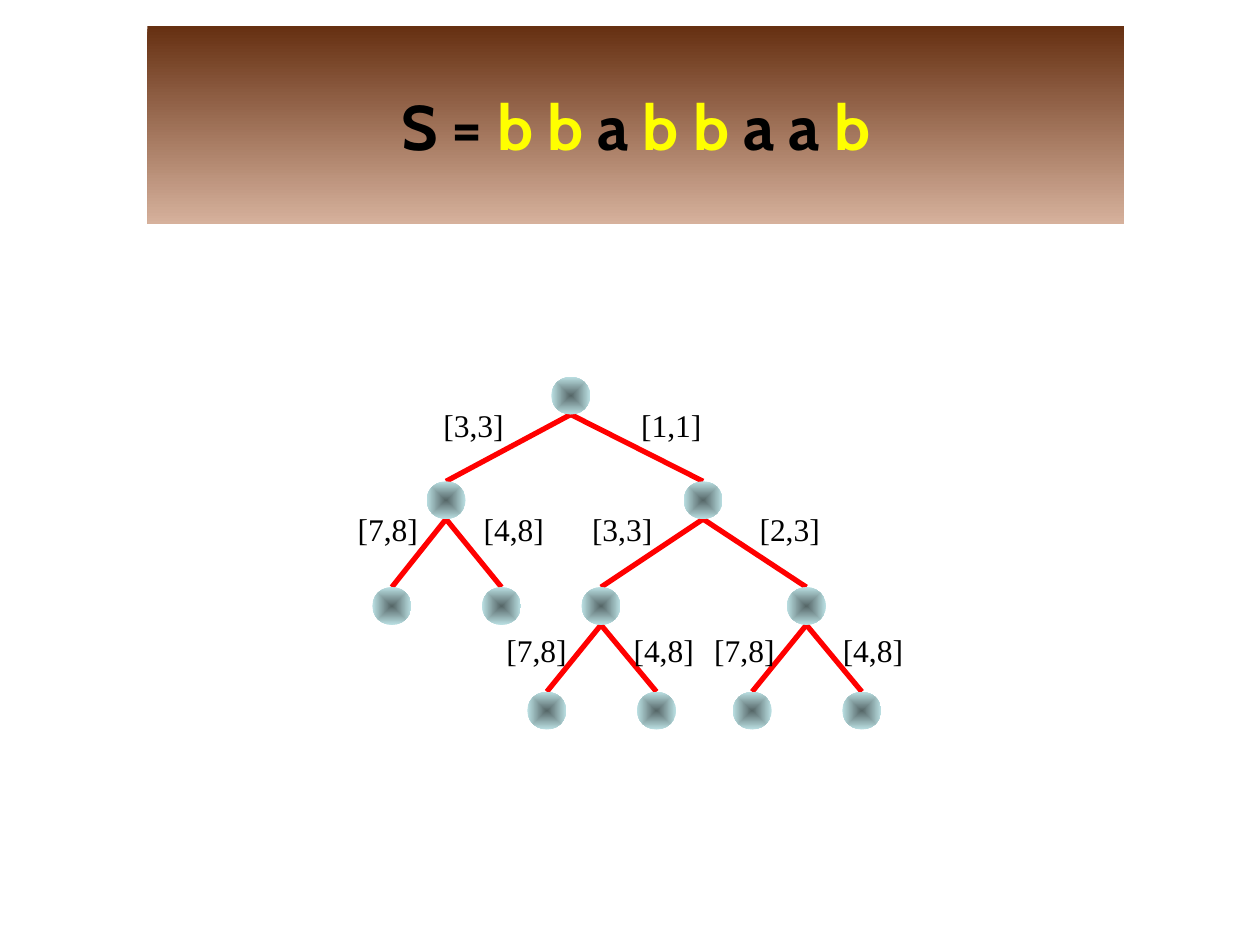
import dataclasses
import typing

import lxml.etree
import pptx
import pptx.dml.color
import pptx.enum.shapes
import pptx.enum.text
import pptx.oxml.ns
import pptx.util

Inches = pptx.util.Inches
Pt = pptx.util.Pt
qn = pptx.oxml.ns.qn

WIDE, HIGH = 0.31, 0.3
TOPS = (2.99, 3.82, 4.66, 5.49)
TAG_TOPS = (3.17, 4, 4.96)
BLACK, YELLOW, RED = "000000", "FFFF00", "FF0000"


@dataclasses.dataclass(frozen=True)
class Node:
    x: float
    row: int
    up: typing.Optional["Node"] = None
    tag: str = ""
    left: float = 0


def color(code: str) -> pptx.dml.color.RGBColor:
    return pptx.dml.color.RGBColor.from_string(code)


def blend(shape, first: str, last: str) -> None:
    shape.shadow.inherit = False
    shape.line.fill.background()
    shape.fill.gradient()
    shape.fill.gradient_angle = 270
    for stop, code, place in zip(shape.fill.gradient_stops, (first, last), (0, 1)):
        stop.color.rgb = color(code)
        stop.position = place


def write(line, text: str, font: str, size: int, code: str, bold: bool = False) -> None:
    run = line.add_run()
    run.text = text
    run.font.name = font
    run.font.size = Pt(size)
    run.font.bold = bold
    run.font.color.rgb = color(code)


def draw_title(shapes) -> None:
    box = shapes.add_shape(
        pptx.enum.shapes.MSO_SHAPE.RECTANGLE,
        Inches(1.17), Inches(0.21), Inches(7.75), Inches(1.57),
    )
    blend(box, "663012", "D6B19C")
    frame = box.text_frame
    frame.word_wrap = True
    frame.vertical_anchor = pptx.enum.text.MSO_ANCHOR.MIDDLE
    line = frame.paragraphs[0]
    line.alignment = pptx.enum.text.PP_ALIGN.CENTER
    parts = (
        ("S = ", BLACK), ("b b ", YELLOW), ("a ", BLACK),
        ("b b ", YELLOW), ("a a ", BLACK), ("b", YELLOW),
    )
    for text, code in parts:
        write(line, text, "Cabin", 36, code, True)


def draw_edge(shapes, node: Node) -> None:
    edge = shapes.add_connector(
        pptx.enum.shapes.MSO_CONNECTOR.STRAIGHT,
        Inches(node.up.x), Inches(TOPS[node.up.row] + HIGH),
        Inches(node.x), Inches(TOPS[node.row]),
    )
    edge.line.color.rgb = color(RED)
    edge.line.width = Pt(3)
    lxml.etree.SubElement(edge._element.spPr, qn("a:effectLst"))


def draw_node(shapes, node: Node) -> None:
    dot = shapes.add_shape(
        pptx.enum.shapes.MSO_SHAPE.OVAL,
        Inches(node.x - WIDE / 2), Inches(TOPS[node.row]),
        Inches(WIDE), Inches(HIGH),
    )
    blend(dot, "566768", "BBE0E3")
    grad = dot._element.spPr.find(qn("a:gradFill"))
    grad.remove(grad.find(qn("a:lin")))
    burst = lxml.etree.SubElement(grad, qn("a:path"), path="rect")
    lxml.etree.SubElement(
        burst, qn("a:fillToRect"), {side: "50000" for side in "ltrb"}
    )


def draw_tag(shapes, node: Node) -> None:
    box = shapes.add_textbox(
        Inches(node.left), Inches(TAG_TOPS[node.up.row]), Inches(0.68), Inches(0.4)
    )
    box.text_frame.word_wrap = False
    box.text_frame.auto_size = pptx.enum.text.MSO_AUTO_SIZE.SHAPE_TO_FIT_TEXT
    write(box.text_frame.paragraphs[0], node.tag, "Times New Roman", 18, BLACK)


def grow_tree() -> list[Node]:
    root = Node(4.53, 0)
    west = Node(3.54, 1, root, "[3,3]", 3.42)
    east = Node(5.58, 1, root, "[1,1]", 4.99)
    inner = Node(4.77, 2, east, "[3,3]", 4.6)
    outer = Node(6.4, 2, east, "[2,3]", 5.93)
    nodes = [root, west, east, inner, outer]
    for up, near, far in ((west, 2.74, 3.74), (inner, 3.92, 4.93), (outer, 5.57, 6.59)):
        nodes.append(Node(up.x - 0.43, up.row + 1, up, "[7,8]", near))
        nodes.append(Node(up.x + 0.44, up.row + 1, up, "[4,8]", far))
    return nodes


def main() -> None:
    deck = pptx.Presentation()
    deck.slide_width, deck.slide_height = Inches(10), Inches(7.5)
    slide = deck.slides.add_slide(deck.slide_layouts[6])
    draw_title(slide.shapes)
    tree = slide.shapes.add_group_shape().shapes
    nodes = grow_tree()
    twigs = [node for node in nodes if node.up]
    for draw, items in ((draw_edge, twigs), (draw_node, nodes), (draw_tag, twigs)):
        for node in items:
            draw(tree, node)
    deck.save("out.pptx")


if __name__ == "__main__":
    main()
